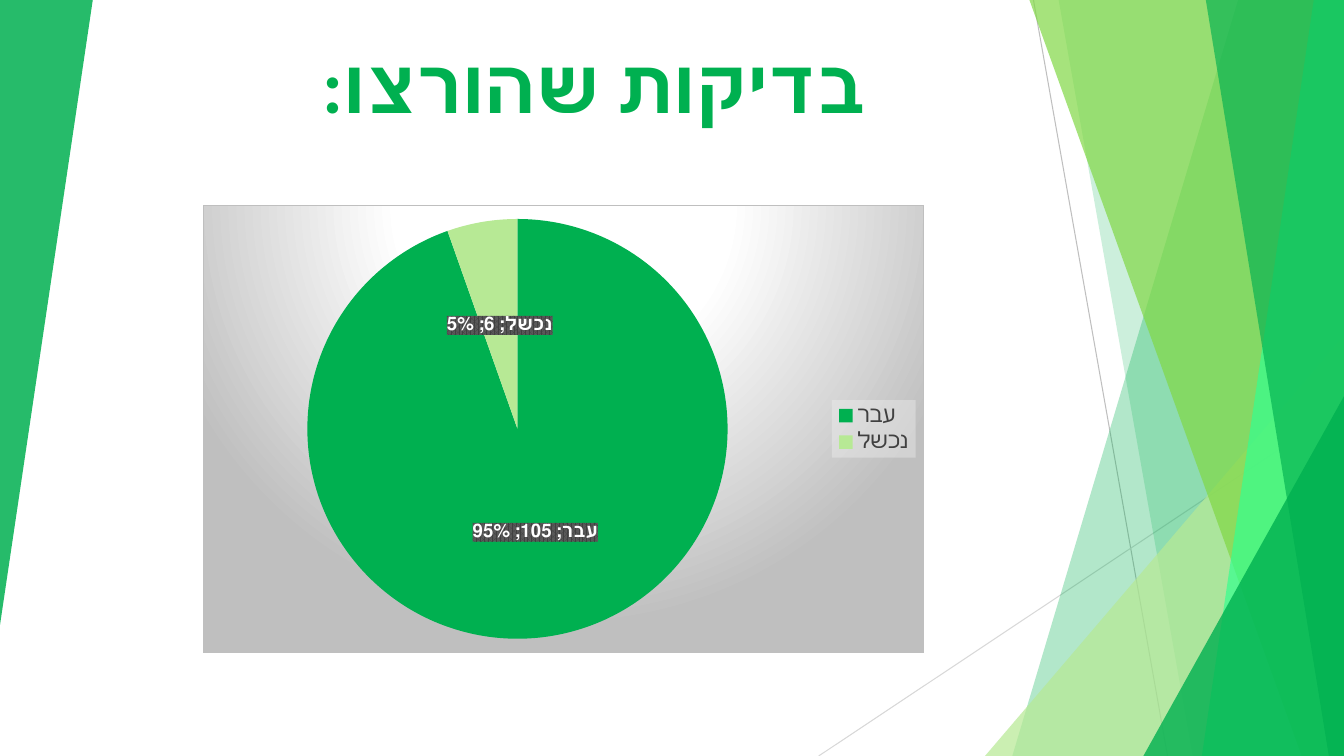
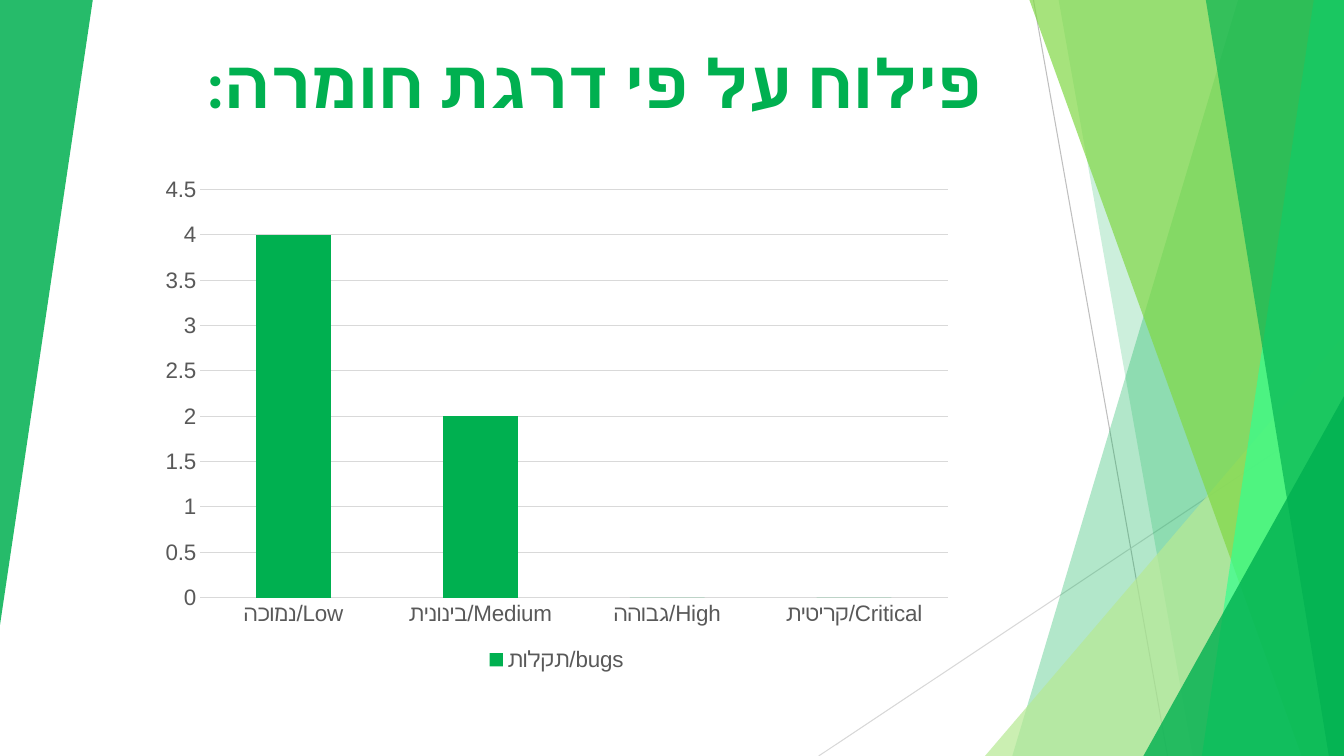
from lxml import etree
from pptx import Presentation
from pptx.chart.data import CategoryChartData
from pptx.dml.color import RGBColor
from pptx.enum.chart import (XL_CHART_TYPE, XL_LABEL_POSITION,
                             XL_LEGEND_POSITION, XL_TICK_MARK)
from pptx.enum.shapes import MSO_CONNECTOR, MSO_SHAPE
from pptx.enum.text import MSO_ANCHOR, MSO_AUTO_SIZE, PP_ALIGN
from pptx.oxml import parse_xml
from pptx.oxml.ns import nsdecls, qn
from pptx.util import Inches, Pt

WIDTH, HEIGHT = 13.33, 7.5
GREEN, PALE, GRAY, TEXT_GRAY = "00B050", "B7E995", "BFBFBF", "595959"

# from x, from y, to x, to y, colour
RULES = [(10.25, 0, 11.58, HEIGHT, GRAY), (WIDTH, 4.03, 8.12, HEIGHT, "D8D8D8")]
# back to front: geometry, colour, opacity in percent
# a slat is (top x, bottom x) and reaches the right edge;
# a triangle is (left, top, width, height, rotation)
FACETS = [
    ((12.28, 10.04), GREEN, 30),
    ((10.5, 11.83), GREEN, 20),
    ((9.77, 3.33, 3.56, 4.17, 0), PALE, 72),
    ((10.21, 12.91), "81D845", 70),
    ((13.03, 11.92), "35FF8F", 70),
    ((11.96, 13.18), GREEN, 65),
    ((11.34, 3.93, 1.99, 3.57, 0), GREEN, 80),
    ((0, 0, 0.92, 6.2, 180), GREEN, 85),
]

TESTS = {
    "title": "בדיקות שהורצו:", "size": 54, "top": -0.47,
    "box": (2.01, 2.03, 7.16, 4.45),
    "cats": ["עבר", "נכשל"], "series": "Series 1", "values": [105, 6],
    "colors": [GREEN, PALE],
}
SEVERITY = {
    "title": "פילוח על פי דרגת חומרה:", "size": 48, "top": -0.54,
    "box": (1.48, 1.66, 8.08, 5.05),
    "cats": ["נמוכה/Low", "בינונית/Medium", "גבוהה/High", "קריטית/Critical"],
    "series": "תקלות/bugs", "values": [4, 2, 0, 0],
}

CHART_BACK = f"""<c:spPr {nsdecls('c', 'a')}>
  <a:gradFill><a:gsLst>
    <a:gs pos="0"><a:srgbClr val="FFFFFF"/></a:gs>
    <a:gs pos="39000"><a:srgbClr val="FFFFFF"/></a:gs>
    <a:gs pos="100000"><a:srgbClr val="{GRAY}"/></a:gs>
  </a:gsLst><a:path path="circle">
    <a:fillToRect l="50000" t="-80000" r="50000" b="180000"/>
  </a:path></a:gradFill>
  <a:ln w="9525"><a:solidFill><a:srgbClr val="{GRAY}"/></a:solidFill></a:ln>
</c:spPr>"""
LEGEND_BACK = f"""<c:spPr {nsdecls('c', 'a')}>
  <a:solidFill><a:srgbClr val="F2F2F2"><a:alpha val="39000"/></a:srgbClr></a:solidFill>
</c:spPr>"""
LABEL_BACK = f"""<c:spPr {nsdecls('c', 'a')}>
  <a:pattFill prst="pct75">
    <a:fgClr><a:srgbClr val="404040"/></a:fgClr>
    <a:bgClr><a:srgbClr val="{TEXT_GRAY}"/></a:bgClr>
  </a:pattFill>
</c:spPr>"""


def rgb(color):
    return RGBColor.from_string(color)


def style_font(font, size, color, bold=False, name="Arial"):
    font.name, font.size, font.bold = name, Pt(size), bold
    font.color.rgb = rgb(color)


def add_rule(shapes, x1, y1, x2, y2, color):
    line = shapes.add_connector(MSO_CONNECTOR.STRAIGHT, *map(Inches, (x1, y1, x2, y2)))
    line.line.color.rgb = rgb(color)
    line.line.width = Pt(0.75)
    etree.SubElement(line.element.spPr, qn("a:effectLst"))
    return line


def add_facet(shapes, geometry, color, opacity):
    if len(geometry) == 2:
        top_x, bottom_x = geometry
        outline = shapes.build_freeform(Inches(top_x), 0)
        outline.add_line_segments([(Inches(x), Inches(y)) for x, y in (
            (WIDTH, 0), (WIDTH, HEIGHT), (bottom_x, HEIGHT))])
        facet = outline.convert_to_shape()
    else:
        *box, rotation = geometry
        facet = shapes.add_shape(MSO_SHAPE.ISOSCELES_TRIANGLE, *map(Inches, box))
        facet.adjustments[0] = 1
        facet.rotation = rotation
    facet.shadow.inherit = False
    facet.line.fill.background()
    facet.fill.solid()
    facet.fill.fore_color.rgb = rgb(color)
    tint = facet.element.spPr.find(".//" + qn("a:srgbClr"))
    etree.SubElement(tint, qn("a:alpha")).set("val", str(opacity * 1000))
    return facet


def decorate_layout(layout, s):
    """Draw the facets on slide s, then move them to the layout all slides use."""
    parts = [add_rule(s.shapes, *rule) for rule in RULES]
    parts += [add_facet(s.shapes, *facet) for facet in FACETS]
    for number, part in enumerate(parts, 100):
        part.element.xpath("./*/p:cNvPr")[0].set("id", str(number))
        layout.shapes.element.append(part.element)


def set_title(s, content):
    title = s.shapes.title
    title.left, title.top, title.width, title.height = map(
        Inches, (1.65, content["top"], 8.49, 1.8))
    tf = title.text_frame
    tf.text = content["title"]
    tf.word_wrap, tf.auto_size = True, MSO_AUTO_SIZE.NONE
    tf.vertical_anchor = MSO_ANCHOR.BOTTOM
    p = tf.paragraphs[0]
    p.alignment = PP_ALIGN.CENTER
    p.runs[0].font.language_id = None
    p._p.get_or_add_pPr().set("rtl", "1")
    style_font(p.runs[0].font, content["size"], GREEN, True, "Calibri")
    face = etree.SubElement(p.runs[0].font._element, qn("a:cs"))
    face.set("typeface", "Calibri")


def add_chart(s, content, kind, size, legend_position, legend_color):
    data = CategoryChartData()
    data.categories = content["cats"]
    data.add_series(content["series"], content["values"])
    chart = s.shapes.add_chart(kind, *map(Inches, content["box"]), data).chart
    style_font(chart.font, size, "000000")
    chart.has_title = False
    chart.has_legend = True
    chart.legend.position = legend_position
    chart.legend.include_in_layout = False
    style_font(chart.legend.font, 16, legend_color)
    return chart


def add_background(chart, owner, xml):
    """Put shape properties before the text properties of a chart part."""
    chart.element.xpath(owner + "/c:txPr")[0].addprevious(parse_xml(xml))


def add_tests_pie(s):
    chart = add_chart(s, TESTS, XL_CHART_TYPE.PIE, 10, XL_LEGEND_POSITION.RIGHT, "404040")
    plot = chart.plots[0]
    plot.vary_by_categories = True
    series = plot.series[0]
    for i, color in enumerate(TESTS["colors"]):
        fill = series.points[i].format.fill
        fill.solid()
        fill.fore_color.rgb = rgb(color)
    labels = series.data_labels
    labels.show_category_name = labels.show_value = labels.show_percentage = True
    labels.position = XL_LABEL_POSITION.CENTER
    style_font(labels.font, 13.3, "FFFFFF", True)
    separator = parse_xml(f"<c:separator {nsdecls('c')}>; </c:separator>")
    chart.element.xpath(".//c:ser/c:dLbls/c:showBubbleSize")[0].addnext(separator)
    add_background(chart, ".//c:ser/c:dLbls", LABEL_BACK)
    add_background(chart, ".//c:legend", LEGEND_BACK)
    add_background(chart, ".", CHART_BACK)


def add_severity_columns(s):
    chart = add_chart(s, SEVERITY, XL_CHART_TYPE.COLUMN_STACKED, 16,
                      XL_LEGEND_POSITION.BOTTOM, TEXT_GRAY)
    plot = chart.plots[0]
    plot.vary_by_categories = False
    plot.gap_width, plot.overlap = 150, 100
    fill = plot.series[0].format.fill
    fill.solid()
    fill.fore_color.rgb = rgb(GREEN)
    for axis in (chart.category_axis, chart.value_axis):
        axis.major_tick_mark = axis.minor_tick_mark = XL_TICK_MARK.NONE
        axis.format.line.fill.background()
        style_font(axis.tick_labels.font, 16, TEXT_GRAY)
    axis = chart.value_axis
    axis.minimum_scale, axis.maximum_scale, axis.major_unit = 0, 4.5, 0.5
    axis.has_major_gridlines = True
    grid = axis.major_gridlines.format.line
    grid.color.rgb = rgb("D9D9D9")
    grid.width = Pt(0.75)


def main():
    prs = Presentation()
    prs.slide_width, prs.slide_height = Inches(WIDTH), Inches(HEIGHT)
    layout = prs.slide_layouts[5]
    for content, draw in ((TESTS, add_tests_pie), (SEVERITY, add_severity_columns)):
        s = prs.slides.add_slide(layout)
        if len(prs.slides) == 1:
            decorate_layout(layout, s)
        set_title(s, content)
        draw(s)
    prs.save("out.pptx")


if __name__ == "__main__":
    main()
